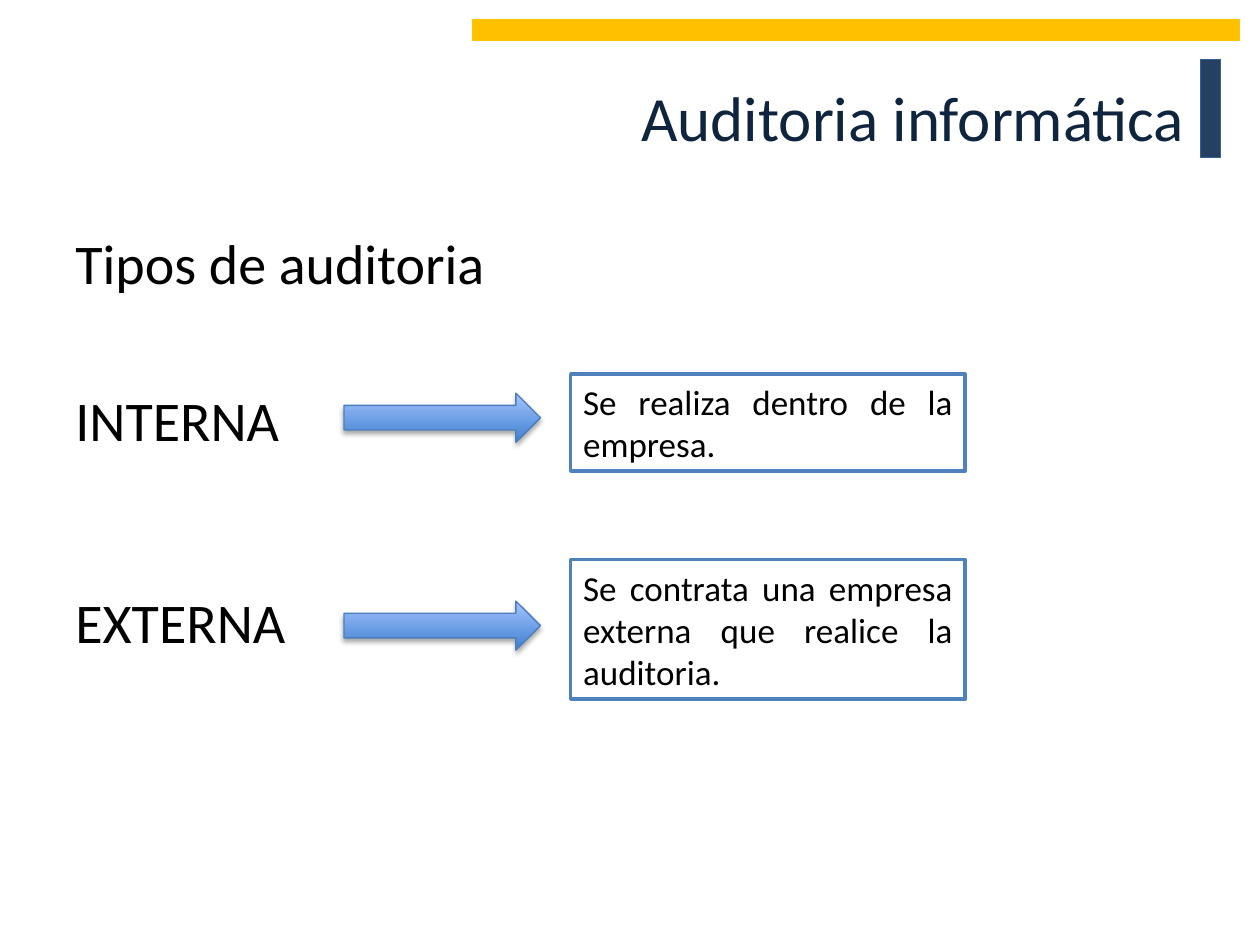
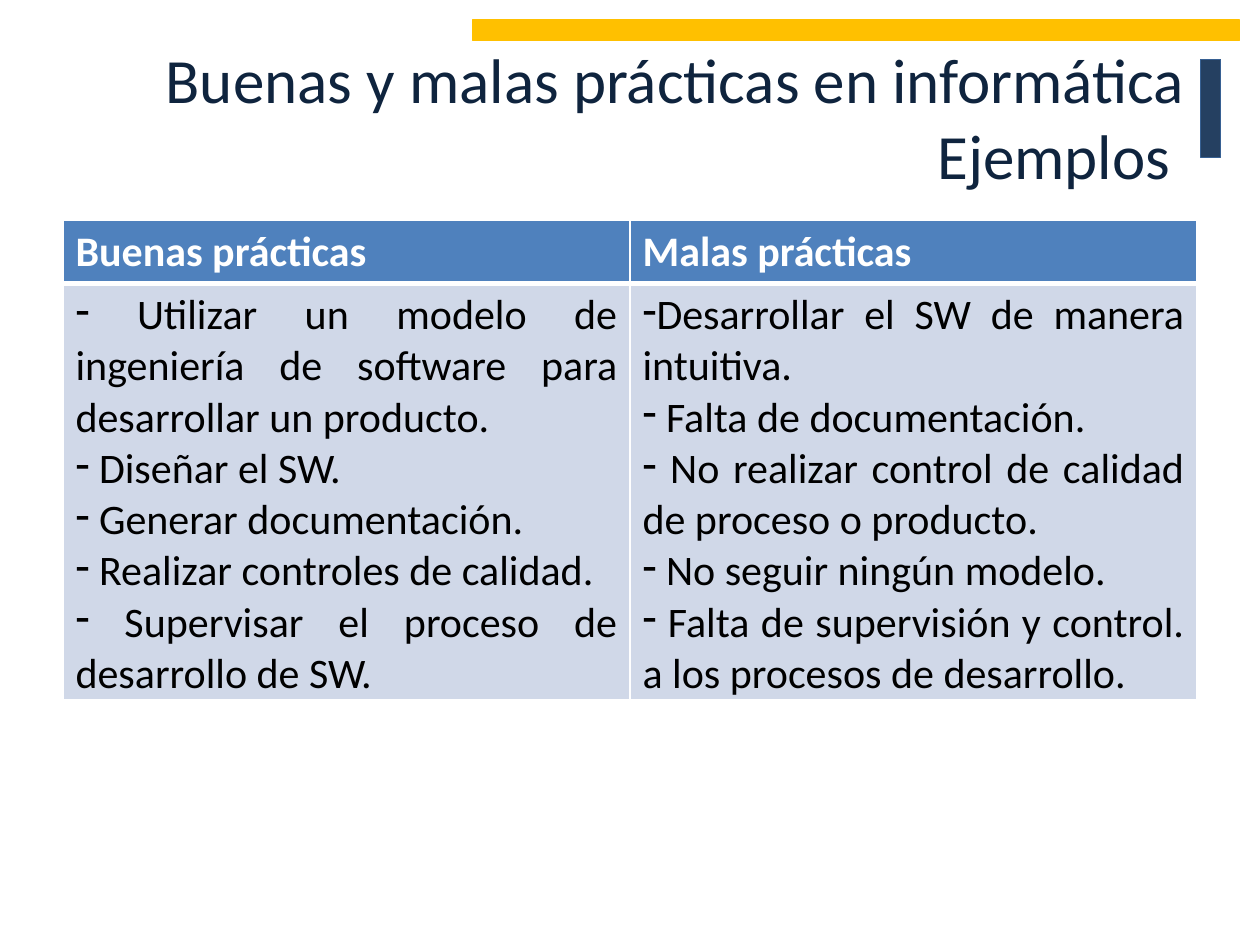
from dataclasses import dataclass
from typing import Any

from lxml.etree import SubElement
from pptx import Presentation
from pptx.dml.color import RGBColor
from pptx.enum.shapes import MSO_SHAPE
from pptx.enum.text import MSO_ANCHOR, PP_ALIGN
from pptx.oxml import parse_xml
from pptx.oxml.ns import nsdecls, qn
from pptx.util import Inches, Pt

# Shared style
FONT = "Calibri"
WHITE, BLACK, NAVY = "FFFFFF", "000000", "0F243E"
BLUE, PALE_BLUE = "4F81BD", "D0D8E8"
ARROW_DARK, ARROW_LIGHT, ARROW_EDGE = "3F80CE", "A4C4FF", "4B7EBC"
LEFT, CONTENT_WIDTH = 0.5, 9

TITLE_FRAME = {"word_wrap": True, "vertical_anchor": MSO_ANCHOR.MIDDLE}
TITLE_FONT = {"name": FONT, "size": Pt(36)}
LABEL_FONT = {"name": FONT, "size": Pt(32)}
NOTE_FONT = {"name": FONT, "size": Pt(20)}
HEADER_FONT = {"name": FONT, "size": Pt(24), "bold": True}
PRACTICE_FONT = {"name": FONT, "size": Pt(24), "bold": False}


@dataclass(frozen=True)
class Box:
    left: float
    top: float
    width: float
    height: float

    def lengths(self) -> list:
        return [Inches(v) for v in (self.left, self.top, self.width, self.height)]


@dataclass(frozen=True)
class Band:
    box: Box
    fill: str
    line: str


@dataclass(frozen=True)
class AuditType:
    name: str
    description: str
    label_top: float
    arrow_top: float
    note_top: float
    note_height: float


@dataclass(frozen=True)
class PracticeColumn:
    heading: str
    practices: tuple[str, ...]


BANDS = (
    Band(Box(9.53, 0.47, 0.16, 0.78), "254061", "376092"),
    Band(Box(3.75, 0.16, 6.09, 0.16), "FFC000", "FFC000"),
)

AUDIT_TYPES = (
    AuditType("INTERNA", "Se realiza dentro de la empresa.", 3.01, 3.12, 2.97, 0.77),
    AuditType("EXTERNA", "Se contrata una empresa externa que realice la auditoria.",
              4.61, 4.77, 4.44, 1.11),
)

PRACTICE_COLUMNS = (
    PracticeColumn("Buenas prácticas", (
        " Utilizar un modelo de ingeniería de software para desarrollar un producto.",
        " Diseñar el SW.",
        " Generar documentación.",
        " Realizar controles de calidad.",
        " Supervisar el proceso de desarrollo de SW.",
    )),
    PracticeColumn("Malas prácticas", (
        "Desarrollar el SW de manera intuitiva.",
        " Falta de documentación.",
        " No realizar control de calidad de proceso o producto.",
        " No seguir ningún modelo.",
        " Falta de supervisión y control. a los procesos de desarrollo.",
    )),
)


def color(hex_code: str) -> RGBColor:
    return RGBColor.from_string(hex_code)


def apply_format(target: Any, values: dict[str, Any]) -> None:
    for attribute, value in values.items():
        setattr(target, attribute, value)


def write(paragraph: Any, text: str, font: dict[str, Any], ink: str,
          align: PP_ALIGN = PP_ALIGN.LEFT) -> None:
    paragraph.text = text
    paragraph.alignment = align
    apply_format(paragraph.font, font)
    paragraph.font.color.rgb = color(ink)


def add_text(slide: Any, box: Box, text: str, font: dict[str, Any], ink: str,
             align: PP_ALIGN = PP_ALIGN.LEFT) -> None:
    frame = slide.shapes.add_textbox(*box.lengths()).text_frame
    apply_format(frame, TITLE_FRAME)
    write(frame.paragraphs[0], text, font, ink, align)


def add_block(slide: Any, preset: MSO_SHAPE, box: Box, line: str,
              line_width: float = 0.75, fill: str | None = None) -> Any:
    block = slide.shapes.add_shape(preset, *box.lengths())
    block.line.color.rgb = color(line)
    block.line.width = Pt(line_width)
    block.shadow.inherit = False
    if fill:
        block.fill.solid()
        block.fill.fore_color.rgb = color(fill)
    return block


def add_arrow(slide: Any, box: Box) -> None:
    arrow = add_block(slide, MSO_SHAPE.RIGHT_ARROW, box, ARROW_EDGE)
    arrow.fill.gradient()
    arrow.fill.gradient_angle = 90
    for stop, shade in zip(arrow.fill.gradient_stops, (ARROW_DARK, ARROW_LIGHT)):
        stop.color.rgb = color(shade)
    # Soft shadow straight below
    effects = arrow._element.spPr.find(qn("a:effectLst"))
    shadow = SubElement(effects, qn("a:outerShdw"), blurRad=str(Pt(3.1)),
                        dist=str(Pt(1.8)), dir="5400000", rotWithShape="0")
    shade = SubElement(shadow, qn("a:srgbClr"), val=BLACK)
    SubElement(shade, qn("a:alpha"), val="35000")


def add_note(slide: Any, box: Box, text: str) -> None:
    note = add_block(slide, MSO_SHAPE.RECTANGLE, box, BLUE, 2, WHITE)
    apply_format(note.text_frame, TITLE_FRAME)
    write(note.text_frame.paragraphs[0], text, NOTE_FONT, BLACK, PP_ALIGN.JUSTIFY)


def style_cell(cell: Any, fill: str, edges: dict[str, float]) -> None:
    cell.fill.solid()
    cell.fill.fore_color.rgb = color(fill)
    properties = cell._tc.get_or_add_tcPr()
    for position, (edge, width) in enumerate(edges.items()):
        properties.insert(position, parse_xml(
            f'<a:ln{edge} {nsdecls("a")} w="{Pt(width)}"><a:solidFill>'
            f'<a:srgbClr val="{WHITE}"/></a:solidFill></a:ln{edge}>'))


def add_practice_table(slide: Any) -> None:
    box = Box(LEFT, 1.75, CONTENT_WIDTH, 3.8)
    table = slide.shapes.add_table(2, len(PRACTICE_COLUMNS), *box.lengths()).table
    apply_format(table, {"first_row": True, "horz_banding": False})
    for row, height in zip(table.rows, (0.5, 3.3)):
        row.height = Inches(height)

    for index, column in enumerate(PRACTICE_COLUMNS):
        heading, body = table.cell(0, index), table.cell(1, index)
        style_cell(heading, BLUE, {"L": 1, "R": 1, "T": 1, "B": 3})
        write(heading.text_frame.paragraphs[0], column.heading, HEADER_FONT, WHITE)

        style_cell(body, PALE_BLUE, {"L": 1, "R": 1, "T": 3, "B": 1})
        body.margin_bottom = Inches(0)
        frame = body.text_frame
        for number, practice in enumerate(column.practices):
            paragraph = frame.add_paragraph() if number else frame.paragraphs[0]
            write(paragraph, practice, PRACTICE_FONT, BLACK, PP_ALIGN.JUSTIFY)
            bullet = parse_xml(f'<a:buChar {nsdecls("a")} char="-"/>')
            paragraph._p.get_or_add_pPr().insert(0, bullet)


def add_slide(deck: Any, title: str) -> Any:
    slide = deck.slides.add_slide(deck.slide_layouts[6])
    for band in BANDS:
        add_block(slide, MSO_SHAPE.RECTANGLE, band.box, band.line, fill=band.fill)
    add_text(slide, Box(LEFT, 0.3, CONTENT_WIDTH, 1.25), title, TITLE_FONT, NAVY,
             PP_ALIGN.RIGHT)
    return slide


def build_audit_slide(deck: Any) -> None:
    slide = add_slide(deck, "Auditoria informática")
    add_text(slide, Box(LEFT, 1.76, CONTENT_WIDTH, 0.64), "Tipos de auditoria",
             LABEL_FONT, BLACK)
    for audit in AUDIT_TYPES:
        add_text(slide, Box(LEFT, audit.label_top, 2.2, 0.64), audit.name,
                 LABEL_FONT, BLACK)
        add_arrow(slide, Box(2.73, audit.arrow_top, 1.56, 0.39))
        add_note(slide, Box(4.53, audit.note_top, 3.13, audit.note_height),
                 audit.description)


def build_practices_slide(deck: Any) -> None:
    slide = add_slide(deck, "Buenas y malas prácticas en informática\vEjemplos ")
    add_practice_table(slide)


def main() -> None:
    deck = Presentation()
    apply_format(deck, {"slide_width": Inches(10), "slide_height": Inches(7.5)})
    build_audit_slide(deck)
    build_practices_slide(deck)
    deck.save("out.pptx")


if __name__ == "__main__":
    main()
